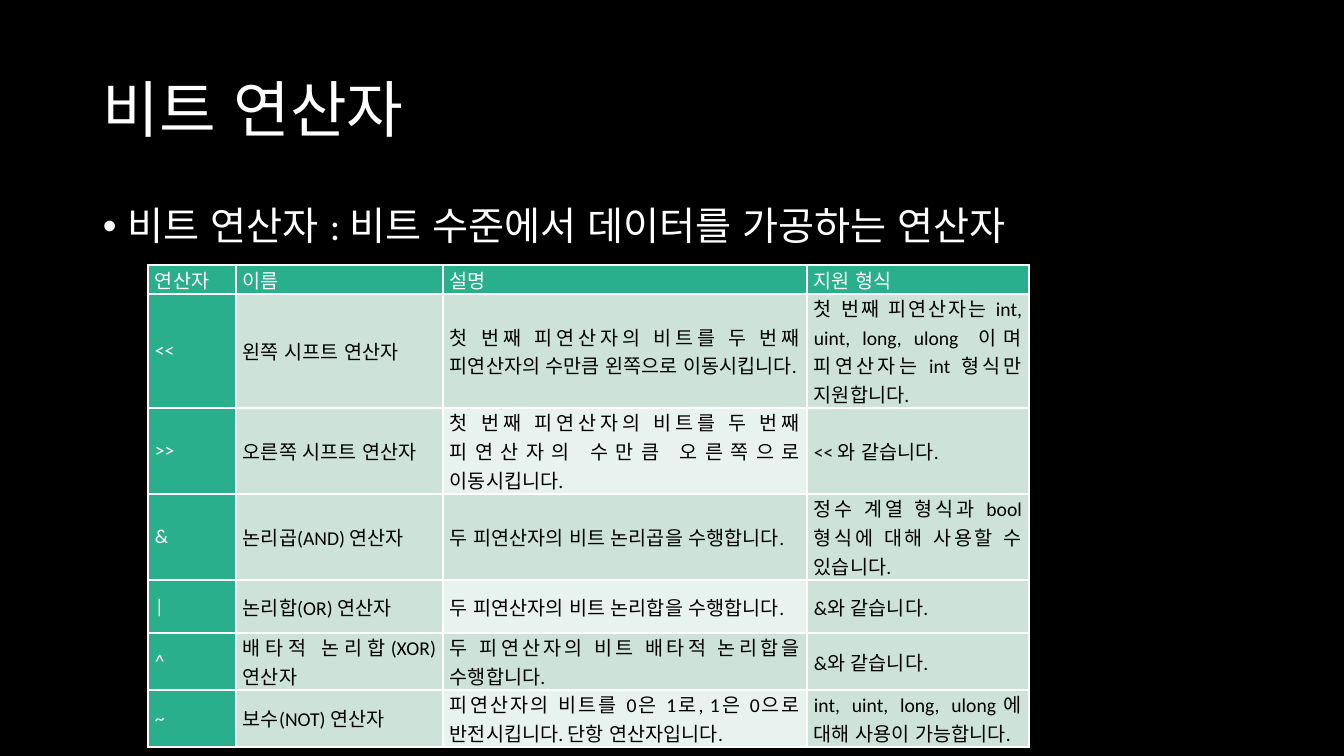
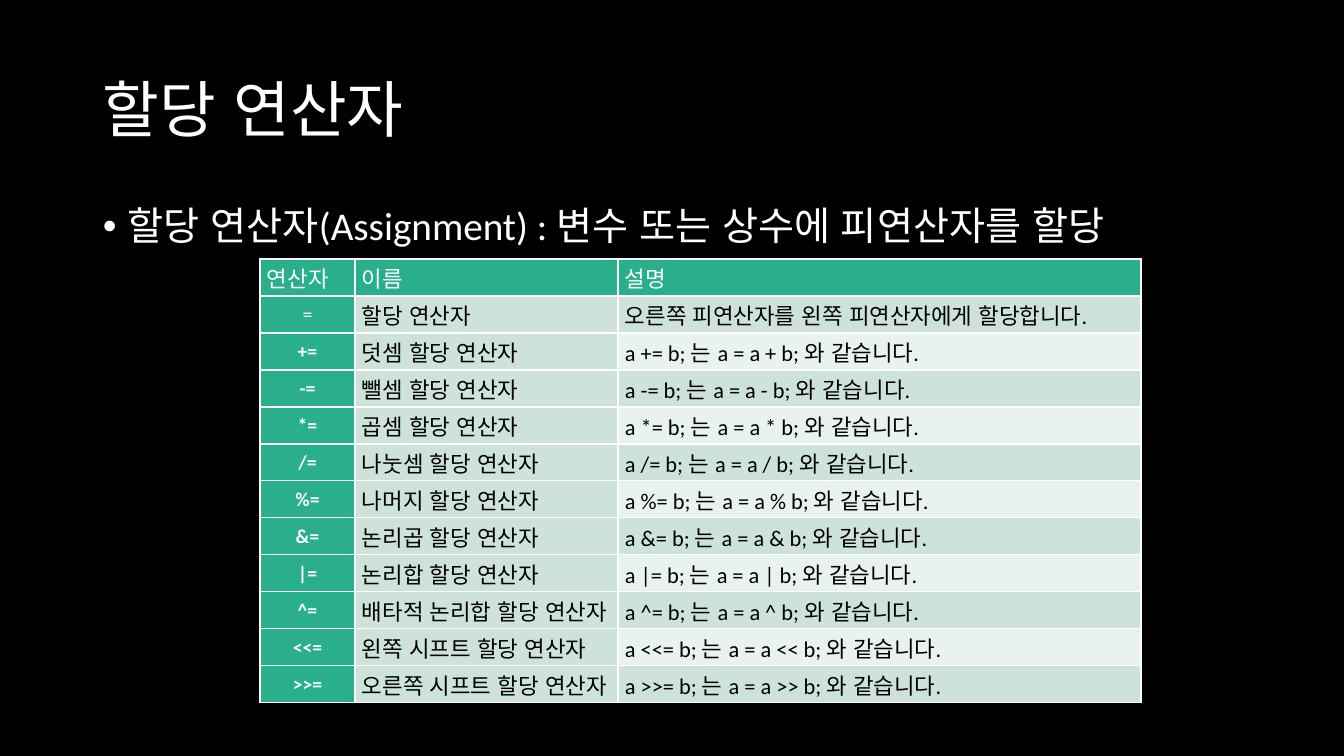
"""Build two slides on bitwise and assignment operators."""
from dataclasses import dataclass

from lxml.etree import SubElement
from pptx import Presentation
from pptx.dml.color import RGBColor
from pptx.enum.lang import MSO_LANGUAGE_ID
from pptx.enum.text import MSO_ANCHOR, PP_ALIGN
from pptx.oxml.ns import qn
from pptx.slide import Slide
from pptx.table import _Cell
from pptx.text.text import _Paragraph
from pptx.util import Emu, Pt

BLACK = RGBColor(0, 0, 0)
WHITE = RGBColor(255, 255, 255)
GREEN = RGBColor(0x29, 0xAF, 0x8C)
MINT = RGBColor(0xCD, 0xE3, 0xDA)
PALE = RGBColor(0xE8, 0xF2, 0xEE)
FACE = "Calibri"


@dataclass(frozen=True)
class Grid:
    left: int
    top: int
    cols: list[int]
    rows: list[int]
    size: int
    center: bool
    cells: list[tuple[str, ...]]


@dataclass(frozen=True)
class Page:
    title: str
    point: str
    grid: Grid


def px(count: int) -> Emu:
    return Emu(round(count * 914400 / 100.8))


def style(para: _Paragraph, size: int, color: RGBColor, bold: bool = False) -> None:
    font = para.font
    font.name = FACE
    font.size = Pt(size)
    font.bold = bold
    font.color.rgb = color
    font.language_id = MSO_LANGUAGE_ID.KOREAN


def write(slide: Slide, text: str, top: int, high: int, size: int,
          anchor: MSO_ANCHOR) -> _Paragraph:
    frame = slide.shapes.add_textbox(px(93), px(top), px(1159), px(high)).text_frame
    frame.word_wrap = True
    frame.vertical_anchor = anchor
    para = frame.paragraphs[0]
    para.text = text
    para.line_spacing = 0.9
    style(para, size, WHITE)
    return para


def bullet(para: _Paragraph) -> None:
    para.space_before = Pt(10)
    props = para._p.get_or_add_pPr()
    props.set("marL", str(px(25)))
    props.set("indent", str(px(-25)))
    SubElement(props, qn("a:buFont"), typeface="Arial")
    SubElement(props, qn("a:buChar"), char="•")
    props.append(props.find(qn("a:defRPr")))


def border(cell: _Cell) -> None:
    props = cell._tc.get_or_add_tcPr()
    for side in ("lnL", "lnR", "lnT", "lnB"):
        line = SubElement(props, qn(f"a:{side}"), w=str(Pt(1)))
        fill = SubElement(line, qn("a:solidFill"))
        SubElement(fill, qn("a:srgbClr"), val=str(WHITE))


def paint(cell: _Cell, text: str, row: int, col: int, grid: Grid) -> None:
    head = row == 0
    sign = col == 0 and not head
    border(cell)
    cell.fill.solid()
    band = PALE if col == 2 and row % 2 == 0 else MINT
    cell.fill.fore_color.rgb = GREEN if head or sign else band
    cell.margin_left = cell.margin_right = px(7)
    cell.margin_top = cell.margin_bottom = 0
    cell.vertical_anchor = MSO_ANCHOR.MIDDLE
    para = cell.text_frame.paragraphs[0]
    para.text = text
    mid = sign and grid.center
    para.alignment = PP_ALIGN.CENTER if mid else PP_ALIGN.JUSTIFY
    style(para, 14 if sign else grid.size, WHITE if head or sign else BLACK,
          mid and row > 1)


def draw(slide: Slide, grid: Grid) -> None:
    table = slide.shapes.add_table(
        len(grid.rows), len(grid.cols), px(grid.left), px(grid.top),
        px(sum(grid.cols)), px(sum(grid.rows))).table
    table.first_row = table.horz_banding = False
    for col, wide in zip(table.columns, grid.cols):
        col.width = px(wide)
    for row, high in zip(table.rows, grid.rows):
        row.height = px(high)
    for row, texts in enumerate(grid.cells):
        for col, text in enumerate(texts):
            paint(table.cell(row, col), text, row, col, grid)


BITS = [
    ("연산자", "이름", "설명", "지원 형식"),
    ("<<", "왼쪽 시프트 연산자",
     "첫 번째 피연산자의 비트를 두 번째 피연산자의 수만큼 왼쪽으로 이동시킵니다.",
     "첫 번째 피연산자는 int, uint, long, ulong 이며 피연산자는 int 형식만 지원합니다."),
    (">>", "오른쪽 시프트 연산자",
     "첫 번째 피연산자의 비트를 두 번째 피연산자의 수만큼 오른쪽으로 이동시킵니다.",
     "<< 와 같습니다."),
    ("&", "논리곱(AND) 연산자", "두 피연산자의 비트 논리곱을 수행합니다.",
     "정수 계열 형식과 bool 형식에 대해 사용할 수 있습니다."),
    ("|", "논리합(OR) 연산자", "두 피연산자의 비트 논리합을 수행합니다.",
     "&와 같습니다."),
    ("^", "배타적 논리합(XOR) 연산자",
     "두 피연산자의 비트 배타적 논리합을 수행합니다.", "&와 같습니다."),
    ("~", "보수(NOT) 연산자",
     "피연산자의 비트를 0은 1로, 1은 0으로 반전시킵니다. 단항 연산자입니다.",
     "int, uint, long, ulong에 대해 사용이 가능합니다."),
]
NAMES = {
    "+": "덧셈", "-": "뺄셈", "*": "곱셈", "/": "나눗셈", "%": "나머지",
    "&": "논리곱", "|": "논리합", "^": "배타적 논리합",
    "<<": "왼쪽 시프트", ">>": "오른쪽 시프트",
}
SETS = [
    ("연산자", "이름", "설명"),
    ("=", "할당 연산자", "오른쪽 피연산자를 왼쪽 피연산자에게 할당합니다."),
    *((f"{sign}=", f"{name} 할당 연산자",
       f"a {sign}= b; 는 a = a {sign} b; 와 같습니다.")
      for sign, name in NAMES.items()),
]
PAGES = [
    Page("비트 연산자", "비트 연산자 : 비트 수준에서 데이터를 가공하는 연산자",
         Grid(148, 265, [88, 207, 364, 222], [29, 114, 86, 86, 53, 57, 57],
              14, False, BITS)),
    Page("할당 연산자", "할당 연산자(Assignment) : 변수 또는 상수에 피연산자를 할당",
         Grid(260, 259, [95, 263, 523], [37] * len(SETS), 16, True, SETS)),
]


def main() -> None:
    deck = Presentation()
    deck.slide_width, deck.slide_height = px(1344), px(756)
    back = deck.slide_master.background.fill
    back.solid()
    back.fore_color.rgb = BLACK
    for page in PAGES:
        slide = deck.slides.add_slide(deck.slide_layouts[6])
        write(slide, page.title, 40, 146, 44, MSO_ANCHOR.MIDDLE)
        bullet(write(slide, page.point, 202, 480, 28, MSO_ANCHOR.TOP))
        draw(slide, page.grid)
    deck.save("out.pptx")


main()
